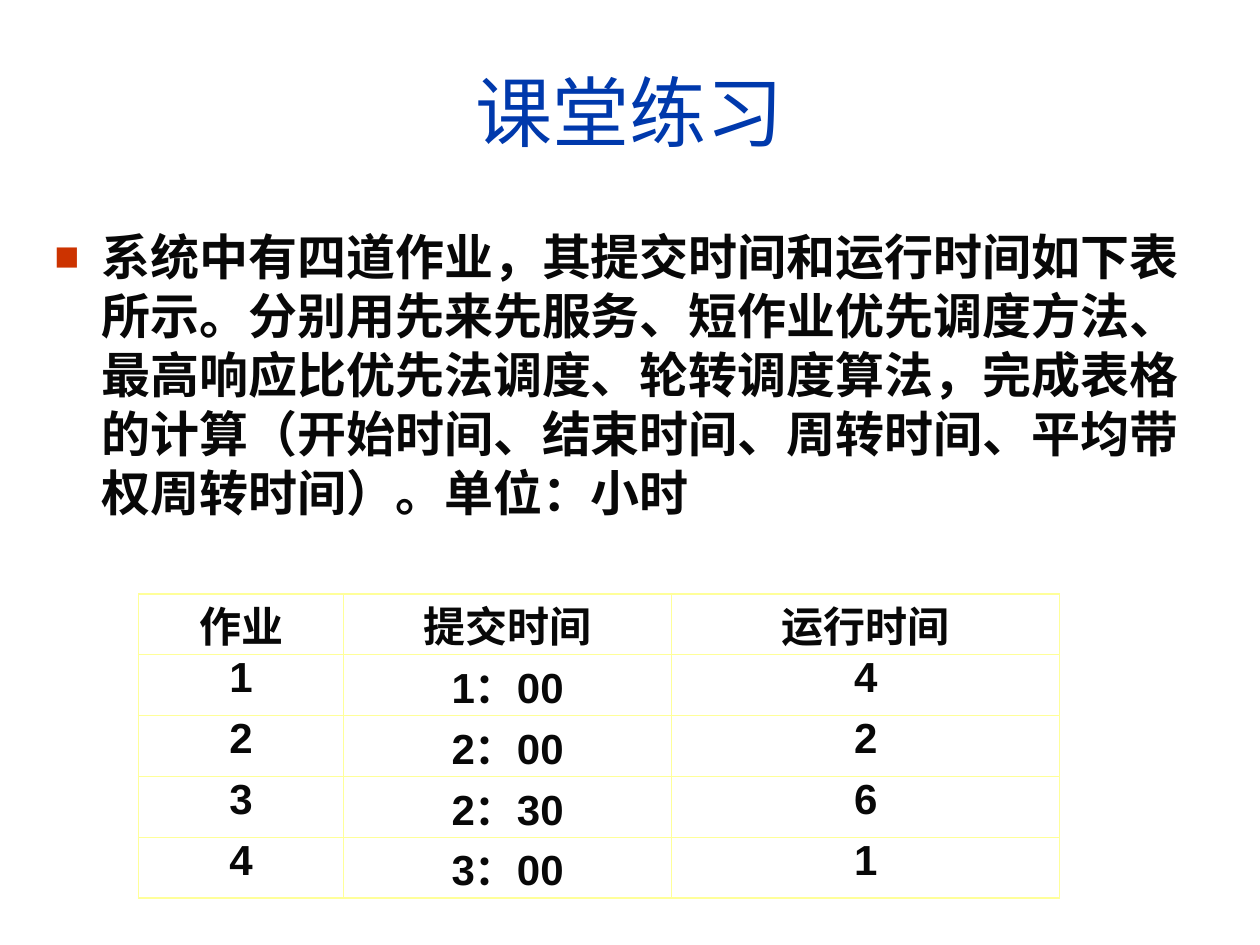
from dataclasses import dataclass

from lxml.etree import SubElement
from pptx import Presentation
from pptx.dml.color import RGBColor
from pptx.enum.text import MSO_ANCHOR, PP_ALIGN
from pptx.oxml.ns import qn
from pptx.util import Pt


@dataclass(frozen=True)
class Theme:
    title_color: str = "0039AC"
    text_color: str = "080808"
    bullet_color: str = "CC3300"
    border_color: str = "FFFF99"
    heading_font: str = "Arial"
    body_font: str = "Times New Roman"
    title_size: int = 44
    body_size: int = 28
    table_size: int = 24


class SlideBuilder:
    def __init__(self, page, theme):
        self.page = page
        self.theme = theme

    def add_span(self, para, text, font, size, color, bold=False):
        span = para.add_run()
        span.text = text
        span.font.name = font
        span.font.size = Pt(size)
        span.font.bold = bold
        span.font.color.rgb = RGBColor.from_string(color)

    def add_box(self, left, top, width, height, anchor):
        box = self.page.shapes.add_textbox(Pt(left), Pt(top), Pt(width), Pt(height))
        frame = box.text_frame
        frame.word_wrap = True
        frame.vertical_anchor = anchor
        return frame.paragraphs[0]

    def title(self, text, *place):
        para = self.add_box(*place, MSO_ANCHOR.MIDDLE)
        para.alignment = PP_ALIGN.CENTER
        theme = self.theme
        self.add_span(para, text, theme.heading_font, theme.title_size, theme.title_color)

    def bullet_text(self, text, *place):
        para = self.add_box(*place, MSO_ANCHOR.TOP)
        para.space_before = Pt(3)
        para.line_spacing = Pt(33.7)
        theme = self.theme
        properties = para._p.get_or_add_pPr()
        properties.set("marL", str(Pt(27)))
        properties.set("indent", str(-Pt(27)))
        color = SubElement(properties, qn("a:buClr"))
        SubElement(color, qn("a:srgbClr"), val=theme.bullet_color)
        SubElement(properties, qn("a:buSzPct"), val="85000")
        SubElement(properties, qn("a:buFont"), typeface=theme.heading_font)
        SubElement(properties, qn("a:buChar"), char="■")
        self.add_span(para, text, theme.body_font, theme.body_size, theme.text_color, True)

    def table(self, rows, left, top, column_widths, row_height):
        table = self.page.shapes.add_table(
            len(rows), len(column_widths), Pt(left), Pt(top),
            Pt(sum(column_widths)), Pt(row_height * len(rows))).table
        table.first_row = False
        table.horz_banding = False
        for column, width in zip(table.columns, column_widths):
            column.width = Pt(width)
        for row_index, row in enumerate(rows):
            for column_index, text in enumerate(row):
                self.fill_cell(table.cell(row_index, column_index), text)

    def fill_cell(self, cell, text):
        theme = self.theme
        cell.margin_left = cell.margin_right = Pt(5)
        cell.margin_top = cell.margin_bottom = Pt(0)
        for side in ("a:lnL", "a:lnR", "a:lnT", "a:lnB"):
            line = SubElement(cell._tc.get_or_add_tcPr(), qn(side), w=str(Pt(1)))
            fill = SubElement(line, qn("a:solidFill"))
            SubElement(fill, qn("a:srgbClr"), val=theme.border_color)
        cell.fill.background()
        para = cell.text_frame.paragraphs[0]
        para.alignment = PP_ALIGN.CENTER
        self.add_span(para, text, theme.heading_font, theme.table_size, theme.text_color, True)


def main():
    deck = Presentation()
    deck.slide_width, deck.slide_height = Pt(720), Pt(540)
    page = deck.slides.add_slide(deck.slide_layouts[6])
    builder = SlideBuilder(page, Theme())

    builder.bullet_text(
        "系统中有四道作业，其提交时间和运行时间如下表所示。"
        "分别用先来先服务、短作业优先调度方法、最高响应比优先法调度、轮转调度算法，"
        "完成表格的计算（开始时间、结束时间、周转时间、平均带权周转时间）。单位：小时",
        24, 126, 672, 354)
    builder.title("课堂练习", 24, 18, 672, 90)
    jobs = [
        ("作业", "提交时间", "运行时间"),
        ("1", "1：00", "4"),
        ("2", "2：00", "2"),
        ("3", "2：30", "6"),
        ("4", "3：00", "1"),
    ]
    builder.table(jobs, 79.2, 339.3, (117.2, 187.4, 221.8), 34.8)
    deck.save("out.pptx")


if __name__ == "__main__":
    main()
